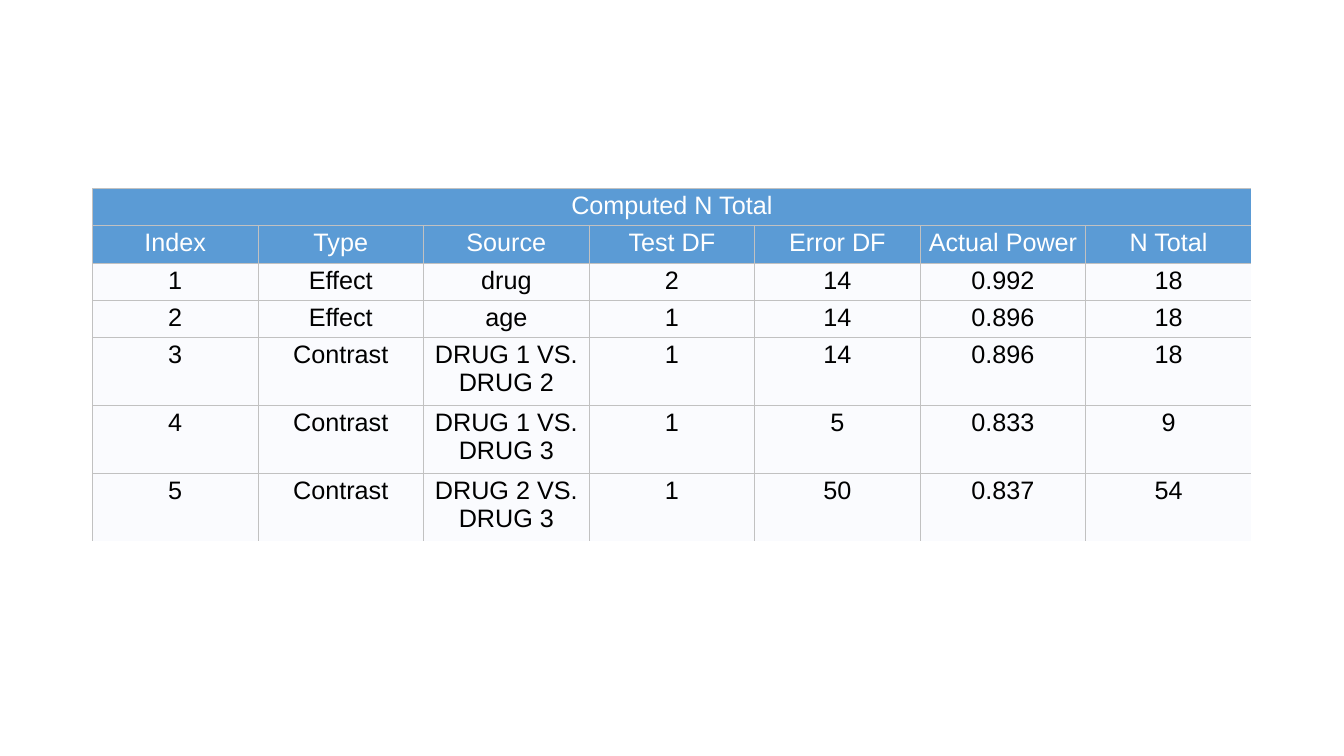
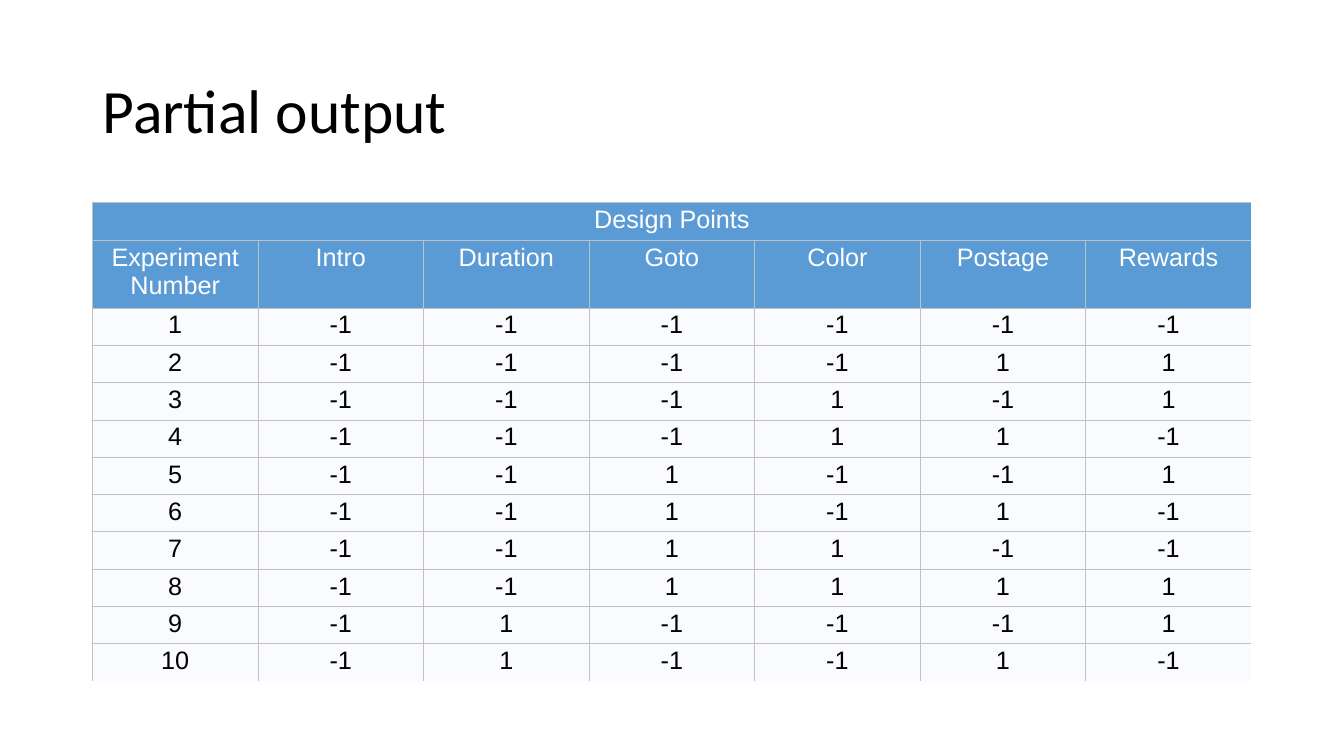
"""Build two slides that show statistical output tables in one shared style."""
from dataclasses import dataclass

from lxml.etree import SubElement
from pptx import Presentation
from pptx.dml.color import RGBColor
from pptx.enum.text import MSO_ANCHOR, PP_ALIGN
from pptx.oxml.ns import qn
from pptx.slide import Slide
from pptx.table import _Cell
from pptx.text.text import _Paragraph
from pptx.util import Cm, Pt


@dataclass(frozen=True)
class Theme:
    header_fill: str = "5B9BD5"
    body_fill: str = "FAFBFE"
    border: str = "C1C1C1"
    header_text: str = "FFFFFF"
    text: str = "000000"
    title_font: str = "Calibri"
    table_font: str = "Arial"
    title_size: float = 44
    table_size: float = 18
    border_width: float = 0.5


@dataclass(frozen=True)
class OutputTable:
    top: float
    caption: str
    headings: tuple[str, ...]
    records: tuple[tuple[str | int, ...], ...]
    tall_rows: frozenset[int]


THEME = Theme()
LEFT, WIDTH = 2.33, 29.21
ROW_HEIGHT, TALL_ROW_HEIGHT = 0.94, 1.71
HEADER_ROWS = 2
TITLE_ONLY, BLANK = 5, 6
TITLE_FRAME = {"left": Cm(LEFT), "top": Cm(1.01), "width": Cm(WIDTH), "height": Cm(3.68)}
CELL_FORMAT = {
    "margin_left": Cm(0.08), "margin_right": Cm(0.08),
    "margin_top": Cm(0.08), "margin_bottom": Cm(0.08),
    "vertical_anchor": MSO_ANCHOR.TOP,
}
TABLE_FLAGS = {"first_row": False, "horz_banding": False}

COMPUTED_TOTAL = OutputTable(
    top=4.75,
    caption="Computed N Total",
    headings=("Index", "Type", "Source", "Test DF", "Error DF", "Actual Power", "N Total"),
    records=(
        (1, "Effect", "drug", 2, 14, "0.992", 18),
        (2, "Effect", "age", 1, 14, "0.896", 18),
        (3, "Contrast", "DRUG 1 VS. DRUG 2", 1, 14, "0.896", 18),
        (4, "Contrast", "DRUG 1 VS. DRUG 3", 1, 5, "0.833", 9),
        (5, "Contrast", "DRUG 2 VS. DRUG 3", 1, 50, "0.837", 54),
    ),
    tall_rows=frozenset({4, 5, 6}),
)
DESIGN_POINTS = OutputTable(
    top=5.11,
    caption="Design Points",
    headings=("Experiment\nNumber", "Intro", "Duration", "Goto", "Color", "Postage", "Rewards"),
    records=(
        (1, -1, -1, -1, -1, -1, -1),
        (2, -1, -1, -1, -1, 1, 1),
        (3, -1, -1, -1, 1, -1, 1),
        (4, -1, -1, -1, 1, 1, -1),
        (5, -1, -1, 1, -1, -1, 1),
        (6, -1, -1, 1, -1, 1, -1),
        (7, -1, -1, 1, 1, -1, -1),
        (8, -1, -1, 1, 1, 1, 1),
        (9, -1, 1, -1, -1, -1, 1),
        (10, -1, 1, -1, -1, 1, -1),
    ),
    tall_rows=frozenset({1}),
)


def apply_format(target: object, values: dict[str, object]) -> None:
    """Set every named attribute on the target."""
    for name, value in values.items():
        setattr(target, name, value)


def write_text(para: _Paragraph, text: str, font: str, size: float, color: str) -> None:
    """Fill a paragraph and format each of its spans."""
    para.text = text
    for span in para.runs:
        apply_format(span.font, {"name": font, "size": Pt(size), "bold": False})
        span.font.color.rgb = RGBColor.from_string(color)


def draw_borders(cell: _Cell, open_sides: set[str]) -> None:
    """Rule the cell on every side that is not open."""
    properties = cell._tc.get_or_add_tcPr()
    for side in "LRTB":
        line = SubElement(properties, qn(f"a:ln{side}"), w=str(Pt(THEME.border_width)))
        if side in open_sides:
            SubElement(line, qn("a:noFill"))
        else:
            fill = SubElement(line, qn("a:solidFill"))
            SubElement(fill, qn("a:srgbClr"), val=THEME.border)


def style_cell(cell: _Cell, is_header: bool, open_sides: set[str]) -> None:
    """Give a cell its margins, borders and fill."""
    apply_format(cell, CELL_FORMAT)
    draw_borders(cell, open_sides)
    cell.fill.solid()
    fill = THEME.header_fill if is_header else THEME.body_fill
    cell.fill.fore_color.rgb = RGBColor.from_string(fill)


def add_output_table(page: Slide, content: OutputTable) -> None:
    """Draw a captioned table that is open at its right and bottom edges."""
    rows = ((content.caption,), content.headings, *content.records)
    columns = len(content.headings)
    heights = [TALL_ROW_HEIGHT if index in content.tall_rows else ROW_HEIGHT
               for index in range(len(rows))]
    table = page.shapes.add_table(len(rows), columns, Cm(LEFT), Cm(content.top),
                                  Cm(WIDTH), Cm(sum(heights))).table
    apply_format(table, TABLE_FLAGS)
    for column in table.columns:
        column.width = Cm(WIDTH / columns)
    table.cell(0, 0).merge(table.cell(0, columns - 1))
    for row_index, (values, height) in enumerate(zip(rows, heights)):
        table.rows[row_index].height = Cm(height)
        is_header = row_index < HEADER_ROWS
        for column_index in range(columns):
            cell = table.cell(row_index, column_index)
            open_sides = set()
            if row_index == 0 or column_index == columns - 1:
                open_sides.add("R")
            if row_index == len(rows) - 1:
                open_sides.add("B")
            style_cell(cell, is_header, open_sides)
            if column_index < len(values):
                para = cell.text_frame.paragraphs[0]
                para.alignment = PP_ALIGN.CENTER
                write_text(para, str(values[column_index]), THEME.table_font,
                           THEME.table_size, THEME.header_text if is_header else THEME.text)


def set_title(page: Slide, text: str) -> None:
    """Place and format the title placeholder."""
    box = page.shapes.title
    apply_format(box, TITLE_FRAME)
    box.text_frame.vertical_anchor = MSO_ANCHOR.MIDDLE
    para = box.text_frame.paragraphs[0]
    apply_format(para, {"alignment": PP_ALIGN.LEFT, "line_spacing": 0.9})
    write_text(para, text, THEME.title_font, THEME.title_size, THEME.text)


def build_deck() -> None:
    """Assemble both slides and save the deck."""
    deck = Presentation()
    apply_format(deck, {"slide_width": Cm(33.87), "slide_height": Cm(19.05)})
    total_page = deck.slides.add_slide(deck.slide_layouts[BLANK])
    add_output_table(total_page, COMPUTED_TOTAL)
    design_page = deck.slides.add_slide(deck.slide_layouts[TITLE_ONLY])
    set_title(design_page, "Partial output")
    add_output_table(design_page, DESIGN_POINTS)
    deck.save("out.pptx")


build_deck()
